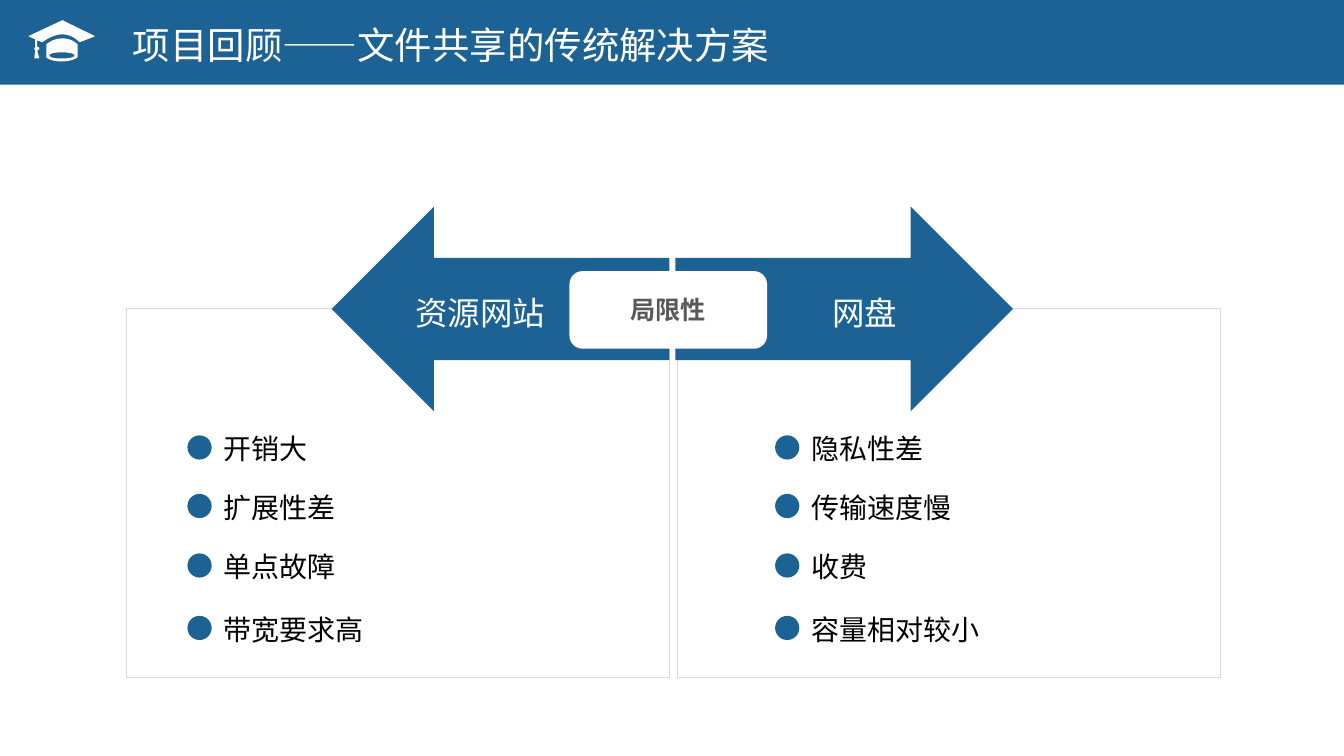
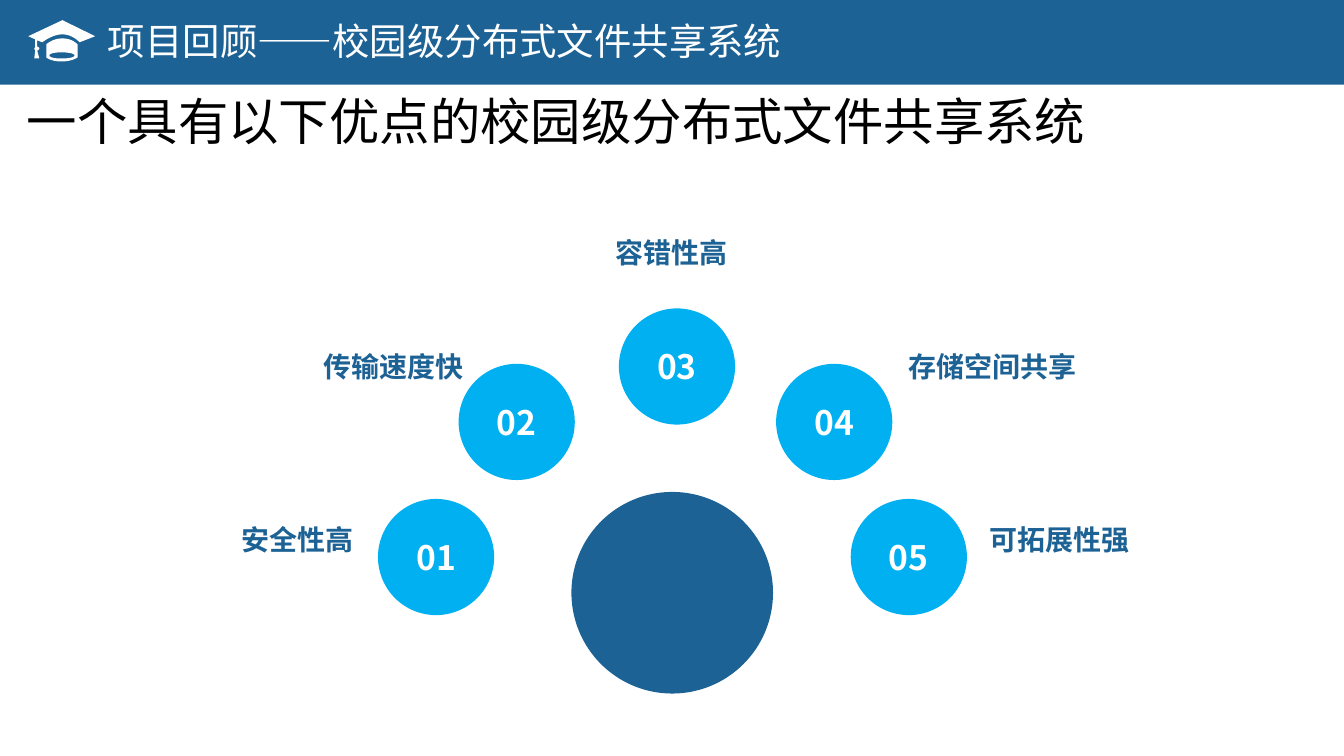
from lxml import etree
from pptx import Presentation
from pptx.dml.color import RGBColor
from pptx.enum import shapes, text
from pptx.oxml import ns
from pptx.util import Pt

FONT = "Noto Sans CJK SC"
BLUE, SKY, WHITE = "1D6295", "00B0F0", "FFFFFF"
BLACK, GREY, PALE = "000000", "595959", "D9D9D9"
SHAPE, ALIGN, ANCHOR = shapes.MSO_SHAPE, text.PP_ALIGN, text.MSO_ANCHOR
DEFAULT_INSETS = (7.2, 3.6, 7.2, 3.6)
NO_INSETS = (0, 0, 0, 0)

SLIDE_WIDTH, SLIDE_HEIGHT, BAND_HEIGHT = 960, 540, 60.5

# Graduation cap: start point, then lines (x, y) and curves (two controls, end)
CAP = [
    [(56.9, 30.2), (56.9, 30.2, 51.8, 24.5, 44.6, 24.5),
     (37.4, 24.5, 30.2, 30.2, 30.2, 30.2), (26.6, 28.8), (26.6, 33.1),
     (27.4, 33.8, 28.1, 33.8, 28.1, 34.6), (28.1, 35.3, 27.4, 36, 26.6, 36),
     (28.1, 41.8), (24.5, 41.8), (25.2, 36),
     (25.2, 36, 24.5, 35.3, 24.5, 34.6), (24.5, 34.6, 25.2, 33.8, 25.2, 33.1),
     (25.2, 28.1), (20.2, 25.9), (44.6, 14.4), (68, 25.9)],
    [(44.6, 27.4), (51.8, 27.4, 55.4, 31.7, 55.4, 31.7), (55.4, 41),
     (55.4, 41, 51.8, 43.9, 43.9, 43.9), (36, 43.9, 33.1, 41, 33.1, 41),
     (33.1, 31.7), (33.1, 31.7, 37.4, 27.4, 44.6, 27.4)],
    [(43.9, 41.8), (49, 41.8, 53.3, 41, 53.3, 39.6),
     (53.3, 38.2, 49, 37.4, 43.9, 37.4), (38.9, 37.4, 35.3, 38.2, 35.3, 39.6),
     (35.3, 41, 38.9, 41.8, 43.9, 41.8)],
]

LIMITS_TITLE = ("项目回顾——文件共享的传统解决方案", (87.8, 12.2, 572.4, 39.6))
LIMITS_LABEL = "局限性"
# name, arrow, arrow left, arrow insets, panel left, bullet left, points
SOLUTIONS = [
    ("网盘", SHAPE.RIGHT_ARROW, 482.4, (65.5, 0, 0, 0), 483.8, 553.7,
     ["隐私性差", "传输速度慢", "收费", "容量相对较小"]),
    ("资源网站", SHAPE.LEFT_ARROW, 236.9, (0, 0, 65.5, 0), 90, 133.9,
     ["开销大", "扩展性差", "单点故障", "带宽要求高"]),
]
BULLET_TOPS = [311, 352.8, 395.3, 439.9]
BULLET_SIZE = 17.3

SYSTEM_TITLE = ("项目回顾——校园级分布式文件共享系统", (69.8, 9.4, 620.6, 39.6))
SYSTEM_INTRO = "一个具有以下优点的校园级分布式文件共享系统"
# label, label left, top, width, alignment, circle left, circle top
ADVANTAGES = [
    ("安全性高", 79.2, 361.4, 173.5, ALIGN.RIGHT, 270, 356.4),
    ("传输速度快", 138.2, 237.6, 193, ALIGN.RIGHT, 327.6, 259.9),
    ("容错性高", 385.2, 156.2, 188.6, ALIGN.CENTER, 442.1, 220.3),
    ("存储空间共享", 648.7, 237.6, 173.5, ALIGN.LEFT, 554.4, 259.9),
    ("可拓展性强", 707, 361.4, 159.1, ALIGN.LEFT, 607.7, 356.4),
]
CIRCLE_SIZE = 83


def color(value):
    """Turn a hex string into a colour."""
    return RGBColor.from_string(value)


def points(values):
    """Convert numbers to lengths in points."""
    return [Pt(value) for value in values]


def write(shape, words, size, ink, bold=False, align=ALIGN.LEFT,
          anchor=ANCHOR.TOP, insets=DEFAULT_INSETS, spacing=1.0, wrap=True):
    """Fill a shape with one formatted run."""
    frame = shape.text_frame
    frame.word_wrap = wrap
    frame.auto_size = text.MSO_AUTO_SIZE.NONE
    frame.vertical_anchor = anchor
    (frame.margin_left, frame.margin_top,
     frame.margin_right, frame.margin_bottom) = points(insets)
    paragraph = frame.paragraphs[0]
    paragraph.alignment = align
    paragraph.line_spacing = spacing
    run = paragraph.add_run()
    run.text = words
    run.font.size = Pt(size)
    run.font.bold = bold
    run.font.color.rgb = color(ink)
    run.font.name = FONT
    etree.SubElement(run._r.get_or_add_rPr(), ns.qn("a:ea"), typeface=FONT)


def paint(shape, fill=None, line=None):
    """Set fill and outline, and drop the shadow."""
    shape.shadow.inherit = False
    if fill:
        shape.fill.solid()
        shape.fill.fore_color.rgb = color(fill)
    else:
        shape.fill.background()
    if line:
        shape.line.color.rgb = color(line)
        shape.line.width = Pt(0.5)
    else:
        shape.line.fill.background()
    return shape


def add_shape(slide, kind, box, fill=None, line=None):
    """Add a painted preset shape."""
    return paint(slide.shapes.add_shape(kind, *points(box)), fill, line)


def add_text(slide, box, *content, **style):
    """Add a text box."""
    write(slide.shapes.add_textbox(*points(box)), *content, **style)


def flatten(contour, steps=8):
    """Turn lines and cubic curves into a list of points."""
    outline = [contour[0]]
    for segment in contour[1:]:
        if len(segment) == 2:
            outline.append(segment)
            continue
        corners = (outline[-1], segment[:2], segment[2:4], segment[4:])
        for step in range(1, steps + 1):
            t = step / steps
            weights = ((1 - t) ** 3, 3 * t * (1 - t) ** 2,
                       3 * t * t * (1 - t), t ** 3)
            outline.append(tuple(
                sum(weight * corner[axis]
                    for weight, corner in zip(weights, corners))
                for axis in (0, 1)))
    return [points(point) for point in outline]


def add_cap(slide):
    """Draw the graduation cap."""
    outlines = [flatten(contour) for contour in CAP]
    builder = slide.shapes.build_freeform(*outlines[0][0], scale=1.0)
    for index, outline in enumerate(outlines):
        if index:
            builder.move_to(*outline[0])
        builder.add_line_segments(outline[1:], close=True)
    return paint(builder.convert_to_shape(), WHITE)


def add_header(slide, layout):
    """Build the band and cap, then move them to the shared layout."""
    for placeholder in list(layout.placeholders):
        if placeholder.placeholder_format.type != shapes.PP_PLACEHOLDER.TITLE:
            layout.shapes.element.remove(placeholder.element)
    band = add_shape(slide, SHAPE.RECTANGLE,
                     (0, 0, SLIDE_WIDTH, BAND_HEIGHT), BLUE)
    for shape in (band, add_cap(slide)):
        layout.shapes.element.append(shape.element)


def set_title(slide, words, box):
    """Place and format the title."""
    title = slide.shapes.title
    title.left, title.top, title.width, title.height = points(box)
    write(title, words, 26.7, WHITE)


def fill_limits(slide):
    """Compare the limits of two traditional solutions."""
    set_title(slide, *LIMITS_TITLE)
    for solution in SOLUTIONS:
        add_shape(slide, SHAPE.RECTANGLE, (solution[4], 220.3, 388, 263.5),
                  line=PALE)
    for name, kind, left, insets, _, bullet_left, drawbacks in SOLUTIONS:
        arrow = add_shape(slide, kind, (left, 147.6, 241.2, 146.2), BLUE)
        write(arrow, name, 23.2, WHITE, align=ALIGN.CENTER,
              anchor=ANCHOR.MIDDLE, insets=insets, spacing=1.2)
        for drawback, top in zip(drawbacks, BULLET_TOPS):
            add_shape(slide, SHAPE.OVAL,
                      (bullet_left, top, BULLET_SIZE, BULLET_SIZE), BLUE)
            width = 20 * len(drawback) + 14.4
            add_text(slide, (bullet_left + 18.7, top - 6.1, width, 31.5),
                     drawback, 20, BLACK, wrap=False)
    label = add_shape(slide, SHAPE.ROUNDED_RECTANGLE,
                      (406.8, 193.7, 141.1, 55.4), WHITE)
    write(label, LIMITS_LABEL, 18, GREY, bold=True, align=ALIGN.CENTER,
          anchor=ANCHOR.MIDDLE)


def fill_system(slide):
    """Arrange the numbered advantages around the central disc."""
    set_title(slide, *SYSTEM_TITLE)
    for number, advantage in enumerate(ADVANTAGES, 1):
        words, left, top, width, align, circle_left, circle_top = advantage
        circle = add_shape(slide, SHAPE.OVAL, (circle_left, circle_top,
                                               CIRCLE_SIZE, CIRCLE_SIZE), SKY)
        write(circle, f"{number:02d}", 24, WHITE, bold=True,
              align=ALIGN.CENTER, anchor=ANCHOR.MIDDLE, insets=NO_INSETS)
        add_text(slide, (left, top, width, 32.4), words, 20, BLUE, bold=True,
                 align=align, insets=NO_INSETS, spacing=1.5)
    add_shape(slide, SHAPE.OVAL, (408.2, 351.4, 144, 144), BLUE)
    add_text(slide, (12.2, 60.5, 782.6, 51.1), SYSTEM_INTRO, 36, BLACK)


def main():
    """Build and save the presentation."""
    presentation = Presentation()
    presentation.slide_width = Pt(SLIDE_WIDTH)
    presentation.slide_height = Pt(SLIDE_HEIGHT)
    layout = presentation.slide_layouts.get_by_name("Title Only")
    limits, system = [presentation.slides.add_slide(layout) for _ in range(2)]
    add_header(limits, layout)
    fill_limits(limits)
    fill_system(system)
    presentation.save("out.pptx")


main()
